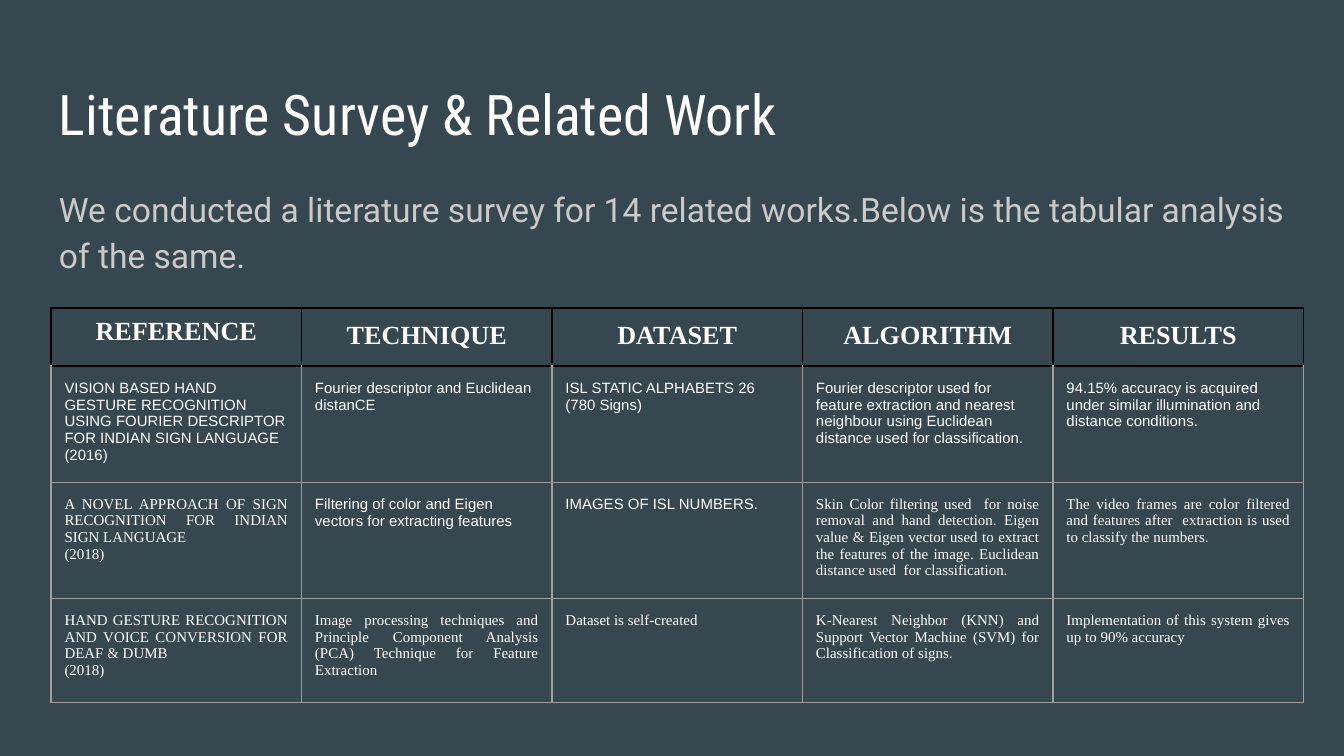
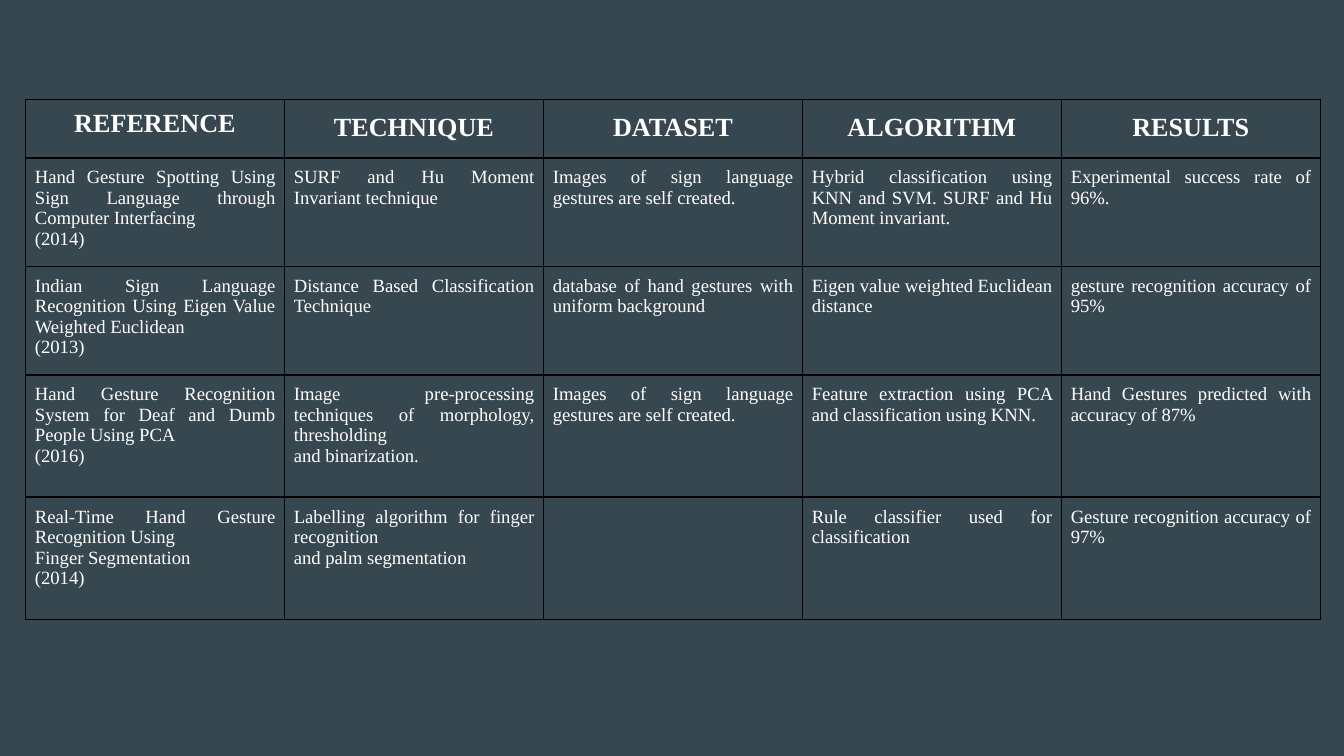
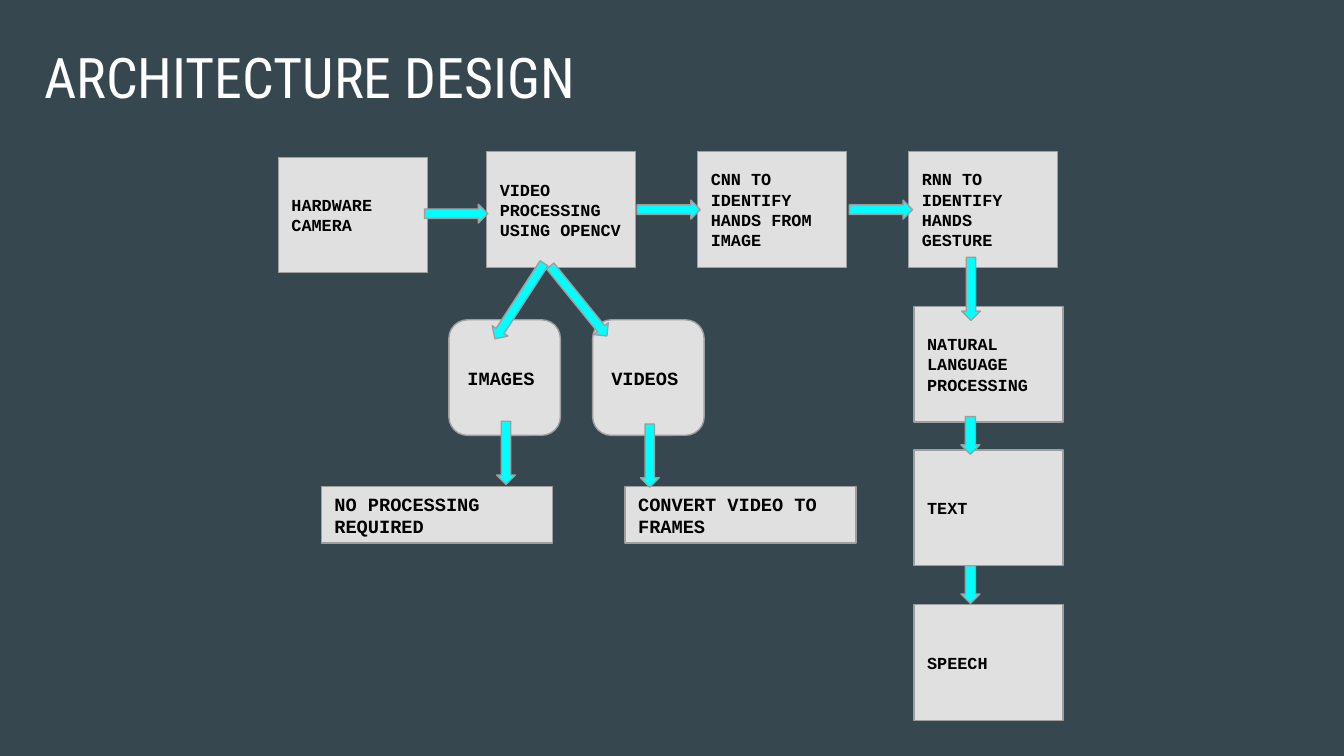
import pptx
import pptx.util
import pptx.dml.color
import pptx.enum.shapes
import pptx.enum.text
import pptx.oxml
import pptx.oxml.ns
from dataclasses import dataclass

Inches = pptx.util.Inches
Align = pptx.enum.text.PP_ALIGN
Anchor = pptx.enum.text.MSO_ANCHOR
Kind = pptx.enum.shapes.MSO_SHAPE


@dataclass(frozen=True)
class Theme:
    back: str = "37474F"
    white: str = "FFFFFF"
    black: str = "000000"
    soft: str = "CACACA"
    grey: str = "9E9E9E"
    box: str = "E0E0E0"
    cyan: str = "00FFFF"
    head: str = "Roboto Condensed"
    body: str = "Roboto"
    serif: str = "Times New Roman"
    sans: str = "Arial"
    mono: str = "Courier New"
    title: int = 30
    lead: int = 18
    label: int = 14
    thin: float = 0.75
    pad: float = 0.1


T = Theme()

# Content: survey tables
LEAD = ("We conducted a literature survey for 14 related works."
        "Below is the tabular analysis of the same.")
HEADS = ["REFERENCE", "TECHNIQUE", "DATASET", "ALGORITHM", "RESULTS"]
FIRST = [
    ["VISION BASED HAND GESTURE RECOGNITION USING FOURIER DESCRIPTOR FOR INDIAN SIGN LANGUAGE (2016)",
     "Fourier descriptor and Euclidean distanCE",
     "ISL STATIC ALPHABETS 26 (780 Signs)",
     "Fourier descriptor used for feature extraction and nearest neighbour using Euclidean distance used for classification.",
     "94.15% accuracy is acquired under similar illumination and distance conditions."],
    ["A NOVEL APPROACH OF SIGN RECOGNITION FOR INDIAN SIGN LANGUAGE\n(2018)",
     "Filtering of color and Eigen vectors for extracting features",
     "IMAGES OF ISL NUMBERS.",
     "Skin Color filtering used  for noise removal and hand detection. Eigen value & Eigen vector used to extract the features of the image. Euclidean distance used  for classification.",
     "The video frames are color filtered and features after  extraction is used to classify the numbers."],
    ["HAND GESTURE RECOGNITION AND VOICE CONVERSION FOR DEAF & DUMB\n(2018)",
     "Image processing techniques and Principle Component Analysis (PCA) Technique for Feature Extraction",
     "Dataset is self-created",
     "K-Nearest Neighbor (KNN) and Support Vector Machine (SVM) for Classification of signs.",
     "Implementation of this system gives up to 90% accuracy"],
]
SECOND = [
    ["Hand Gesture Spotting Using Sign Language through Computer Interfacing\n(2014)",
     "SURF and Hu Moment Invariant technique",
     "Images of sign language gestures are self created.",
     "Hybrid classification using KNN and SVM. SURF and Hu Moment invariant.",
     "Experimental success rate of 96%."],
    ["Indian Sign Language Recognition Using Eigen Value Weighted Euclidean\n(2013)",
     "Distance Based Classification Technique",
     "database of hand gestures with uniform background",
     "Eigen value weighted Euclidean distance",
     "gesture recognition accuracy of 95%"],
    ["Hand Gesture Recognition System for Deaf and Dumb People Using PCA\n(2016)",
     "Image pre-processing techniques of morphology, thresholding\nand binarization.",
     "Images of sign language gestures are self created.",
     "Feature extraction using PCA and classification using KNN.",
     "Hand Gestures predicted with accuracy of 87%"],
    ["Real-Time Hand Gesture Recognition Using\nFinger Segmentation\n(2014)",
     "Labelling algorithm for finger recognition\nand palm segmentation",
     "",
     "Rule classifier used for classification",
     "Gesture recognition accuracy of 97%"],
]
# Cells of the first table set in left-aligned sans
PLAIN = {(1, col) for col in range(5)} | {(2, 1), (2, 2)}

# Content: flow chart; each group is kind, width, height, type size, boxes
STEP = 1.57
FLOW = [
    (Kind.RECTANGLE, 1.11, 0.86, 9, [
        ("HARDWARE CAMERA", 2.07, 1.17),
        ("VIDEO PROCESSING USING OPENCV", 3.62, 1.13),
        ("CNN TO IDENTIFY HANDS FROM IMAGE", 3.62 + STEP, 1.13),
        ("RNN TO IDENTIFY HANDS GESTURE", 3.62 + 2 * STEP, 1.13),
        ("NATURAL LANGUAGE PROCESSING", 6.8, 2.28),
        ("TEXT", 6.8, 3.35),
        ("SPEECH", 6.8, 4.5)]),
    (Kind.ROUNDED_RECTANGLE, 0.83, 0.86, 10, [
        ("VIDEOS", 4.41, 2.38),
        ("IMAGES", 3.34, 2.38)]),
    (Kind.RECTANGLE, 1.72, 0.42, 10, [
        ("NO PROCESSING REQUIRED", 2.39, 3.62),
        ("CONVERT VIDEO TO FRAMES", 4.65, 3.62)]),
]
# Arrows: length, shaft share, then left, top and turn of each
ARROWS = [
    (0.47, 0.5, [(3.16, 1.52, 0), (4.74, 1.49, 0), (6.32, 1.49, 0),
                 (6.99, 2.08, 90), (3.53, 3.3, 90), (4.6, 3.32, 90)]),
    (0.28, 0.535, [(7.08, 3.17, 90), (7.08, 4.28, 90)]),
    (0.67, 0.5, [(3.53, 2.17, 123), (3.97, 2.17, 51)]),
]


def rgb(code):
    return pptx.dml.color.RGBColor.from_string(code)


def write(frame, words, size, font, color=T.white, bold=False,
          align=Align.LEFT, space=None, after=None):
    frame.word_wrap = True
    for num, line in enumerate(words.split("\n")):
        para = frame.paragraphs[0] if num == 0 else frame.add_paragraph()
        para.alignment = align
        if space:
            para.line_spacing = space
        if after:
            para.space_after = pptx.util.Pt(after)
        face = para.font
        if line:
            run = para.add_run()
            run.text = line
            face = run.font
        face.size = pptx.util.Pt(size)
        face.name = font
        face.bold = bold
        face.color.rgb = rgb(color)


def inset(part, pad):
    part.margin_left = part.margin_right = Inches(pad)
    part.margin_top = part.margin_bottom = Inches(pad)


def label(slide, words, left, top, width, height, **style):
    frame = slide.shapes.add_textbox(
        Inches(left), Inches(top), Inches(width), Inches(height)).text_frame
    inset(frame, T.pad)
    write(frame, words, **style)


def title(slide, words, left, top):
    label(slide, words, left, top, 9.32, 0.63, size=T.title, font=T.head)


def block(slide, kind, left, top, width, height, fill):
    shape = slide.shapes.add_shape(
        kind, Inches(left), Inches(top), Inches(width), Inches(height))
    shape.shadow.inherit = False
    shape.fill.solid()
    shape.fill.fore_color.rgb = rgb(fill)
    shape.line.color.rgb = rgb(T.grey)
    shape.line.width = pptx.util.Pt(T.thin)
    return shape


def edge(cell, sides):
    props = cell._tc.get_or_add_tcPr()
    for side in "LRTB":
        color, width = sides[side]
        props.append(pptx.oxml.parse_xml(
            f'<a:ln{side} {pptx.oxml.ns.nsdecls("a")} w="{pptx.util.Pt(width)}">'
            f'<a:solidFill><a:srgbClr val="{color}"/></a:solidFill></a:ln{side}>'))


def survey(slide, rows, left, top, wide, highs, size, pad, rule, plain=()):
    count = len(HEADS)
    grid = slide.shapes.add_table(
        len(highs), count, Inches(left), Inches(top),
        Inches(wide * count), Inches(sum(highs))).table
    grid.first_row = grid.horz_banding = False
    for col in grid.columns:
        col.width = Inches(wide)
    for row, high in zip(grid.rows, highs):
        row.height = Inches(high)
    dark = (T.black, 1)
    for r, line in enumerate([HEADS] + rows):
        for c, words in enumerate(line):
            cell = grid.cell(r, c)
            sides = dict.fromkeys("LRTB", rule if r else dark)
            if r == 1:
                sides["T"] = dark
            edge(cell, sides)
            cell.fill.background()
            if r == 0:
                inset(cell, T.pad if c else 0.07)
                style = dict(size=T.label, font=T.serif, bold=True, align=Align.CENTER)
            else:
                inset(cell, pad)
                left_set = (r, c) in plain
                style = dict(size=size, font=T.sans if left_set else T.serif,
                             align=Align.LEFT if left_set else Align.JUSTIFY)
            write(cell.text_frame, words, **style)


def page(deck):
    slide = deck.slides.add_slide(deck.slide_layouts[6])
    slide.background.fill.solid()
    slide.background.fill.fore_color.rgb = rgb(T.back)
    return slide


def main():
    deck = pptx.Presentation()
    deck.slide_width, deck.slide_height = Inches(10), Inches(5.625)

    # Survey, first part
    slide = page(deck)
    title(slide, "Literature Survey & Related Work", 0.34, 0.49)
    label(slide, LEAD, 0.34, 1.26, 9.32, 4.23, size=T.lead, font=T.body,
          color=T.soft, space=1.15, after=16)
    survey(slide, FIRST, 0.38, 2.29, 1.864, [0.42, 0.82, 0.82, 0.77],
           size=8, pad=T.pad, rule=(T.grey, T.thin), plain=PLAIN)

    # Survey, second part
    slide = page(deck)
    survey(slide, SECOND, 0.19, 0.74, 1.927, [0.42, 0.8, 0.77, 0.91, 0.91],
           size=10, pad=0.07, rule=(T.black, 1))

    # Flow chart
    slide = page(deck)
    title(slide, "ARCHITECTURE DESIGN", 0.23, 0.22)
    for kind, width, height, size, boxes in FLOW:
        for words, left, top in boxes:
            frame = block(slide, kind, left, top, width, height, T.box).text_frame
            frame.vertical_anchor = Anchor.MIDDLE
            inset(frame, T.pad)
            write(frame, words, size=size, font=T.mono, color=T.black, bold=True)
    for length, shaft, spots in ARROWS:
        for left, top, turn in spots:
            arrow = block(slide, Kind.RIGHT_ARROW, left, top, length, 0.14, T.cyan)
            arrow.adjustments[0] = shaft
            arrow.rotation = turn

    deck.save("out.pptx")


if __name__ == "__main__":
    main()
